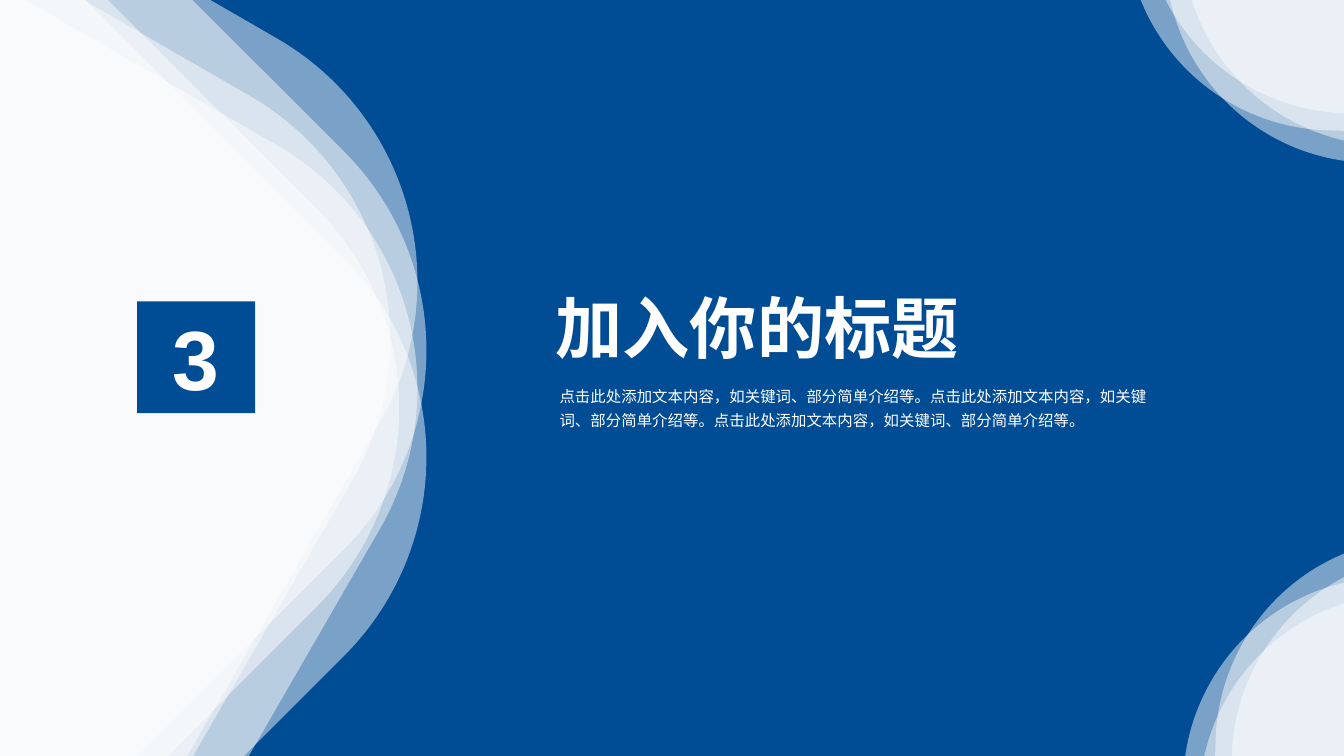
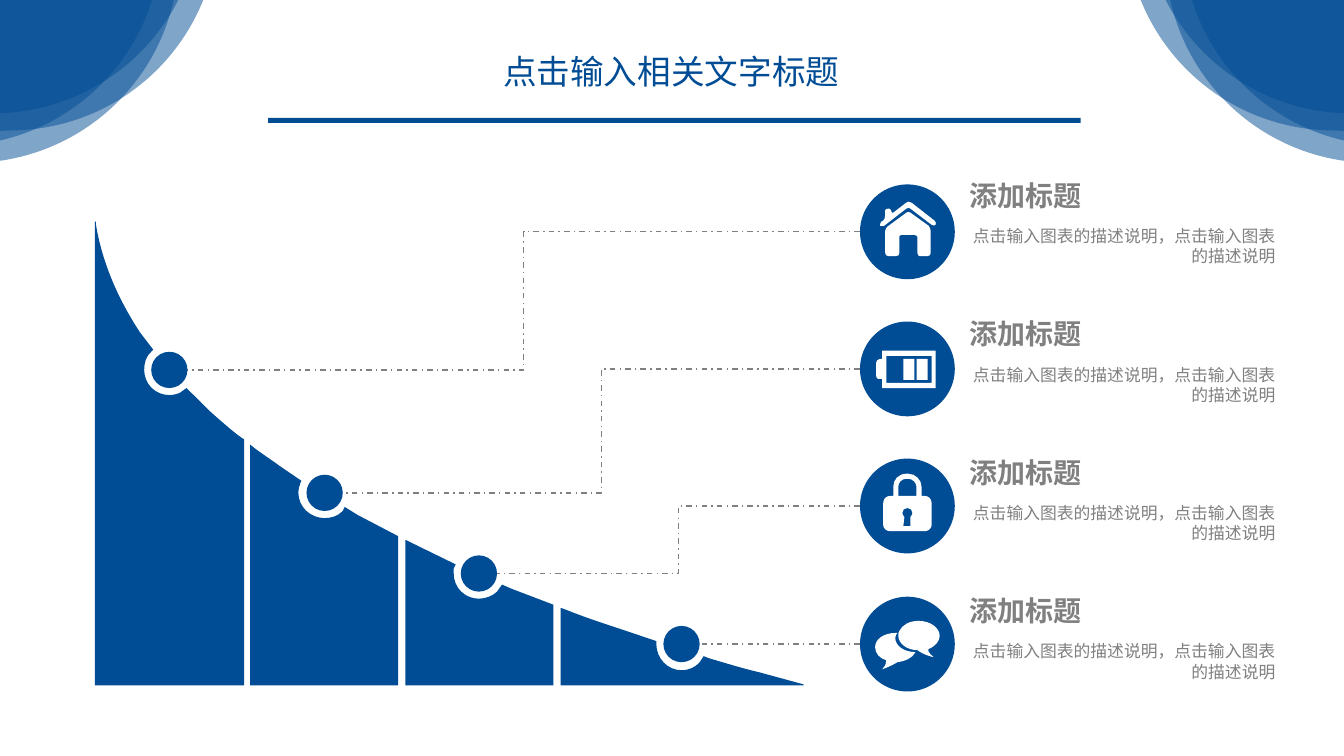
from lxml import etree
from pptx import Presentation
from pptx.dml.color import RGBColor
from pptx.enum.dml import MSO_LINE
from pptx.enum.shapes import MSO_CONNECTOR, MSO_SHAPE
from pptx.enum.text import MSO_ANCHOR, MSO_AUTO_SIZE, PP_ALIGN
from pptx.oxml.ns import qn
from pptx.util import Inches, Pt

COLORS = {"blue": "004C95", "white": "FFFFFF", "gray": "808080"}
FONT = "Arial"
WIDTH, HEIGHT = 13.33, 7.5
CORNER_SIZE = 6.88
TOP_RIGHT = (11.21, -5.54)

# Outlines in inches: M starts a contour, L is a line, C is a cubic curve
HOUSE = [
    "M 8.99 2.11 C 9 2.1 9.02 2.1 9.03 2.11 L 9.21 2.24 C 9.22 2.25 9.23 2.27 9.23 2.29 "
    "L 9.23 2.51 C 9.23 2.53 9.22 2.54 9.2 2.54 L 9.12 2.54 C 9.11 2.54 9.1 2.53 9.1 2.51 "
    "L 9.1 2.35 C 9.1 2.35 9.09 2.33 9.07 2.33 L 8.94 2.33 C 8.92 2.33 8.92 2.35 8.92 2.35 "
    "L 8.92 2.51 C 8.92 2.53 8.91 2.54 8.89 2.54 L 8.81 2.54 C 8.79 2.54 8.78 2.53 8.78 2.51 "
    "L 8.78 2.29 C 8.78 2.28 8.79 2.26 8.8 2.25",
    "M 8.76 2.19 C 8.77 2.18 8.78 2.16 8.78 2.14 L 8.78 2.09 C 8.78 2.08 8.79 2.07 8.81 2.07 "
    "L 8.82 2.07 C 8.82 2.07 8.84 2.08 8.84 2.09 C 8.84 2.11 8.85 2.12 8.86 2.11 L 8.99 2.01 "
    "C 9 2.01 9.01 2 9.01 2 C 9.01 2 9.02 2.01 9.04 2.01 L 9.27 2.19 "
    "C 9.28 2.2 9.29 2.22 9.28 2.23 C 9.27 2.24 9.26 2.24 9.24 2.23 L 9.03 2.07 "
    "C 9.02 2.06 9.01 2.06 8.99 2.07 L 8.77 2.24 C 8.76 2.24 8.74 2.24 8.73 2.24 "
    "C 8.73 2.23 8.73 2.21 8.74 2.2",
]
BATTERY = [
    "M 8.75 3.56 L 8.75 3.48 L 9.28 3.48 L 9.28 3.85 L 8.75 3.85 L 8.75 3.76 "
    "C 8.73 3.76 8.69 3.77 8.69 3.73 L 8.69 3.6 C 8.69 3.56 8.74 3.56 8.75 3.56 "
    "M 8.79 3.8 L 9.24 3.8 L 9.24 3.53 L 8.79 3.53",
]
LOCK = [
    "M 8.83 4.92 L 8.86 4.92 L 8.86 4.83 C 8.86 4.76 8.91 4.7 8.99 4.7 L 9.01 4.7 "
    "C 9.08 4.7 9.14 4.76 9.14 4.83 L 9.14 4.92 L 9.17 4.92 C 9.21 4.92 9.24 4.95 9.24 4.99 "
    "L 9.24 5.21 C 9.24 5.24 9.21 5.27 9.17 5.27 L 8.83 5.27 C 8.79 5.27 8.76 5.24 8.76 5.21 "
    "L 8.76 4.99 C 8.76 4.95 8.79 4.92 8.83 4.92 "
    "M 8.96 5.22 L 9.03 5.22 L 9.03 5.13 C 9.04 5.12 9.05 5.1 9.05 5.09 "
    "C 9.05 5.06 9.03 5.04 9 5.04 C 8.97 5.04 8.95 5.06 8.95 5.09 C 8.95 5.1 8.96 5.12 8.97 5.13 "
    "M 8.91 4.92 L 9.09 4.92 L 9.09 4.83 C 9.09 4.79 9.05 4.75 9.01 4.75 L 8.99 4.75 "
    "C 8.94 4.75 8.91 4.79 8.91 4.83",
]
SPEECH = [
    "M 8.68 6.42 C 8.68 6.34 8.77 6.28 8.88 6.28 C 8.89 6.28 8.89 6.28 8.9 6.28 "
    "C 8.89 6.29 8.88 6.31 8.88 6.33 C 8.88 6.41 8.97 6.47 9.08 6.47 "
    "C 9.05 6.53 8.98 6.56 8.9 6.57 C 8.84 6.61 8.75 6.64 8.75 6.64 "
    "C 8.79 6.6 8.79 6.57 8.79 6.55 C 8.72 6.53 8.68 6.48 8.68 6.42",
    "M 8.92 6.26 C 8.95 6.2 9.02 6.16 9.11 6.16 C 9.23 6.16 9.32 6.23 9.32 6.31 "
    "C 9.32 6.36 9.28 6.41 9.21 6.44 C 9.2 6.45 9.21 6.48 9.26 6.52 "
    "C 9.26 6.52 9.16 6.5 9.1 6.45 C 8.99 6.45 8.91 6.38 8.91 6.31 C 8.91 6.29 8.91 6.27 8.92 6.26",
]
COLUMNS = [
    "M 0.95 2.2 L 0.94 2.2 L 0.94 6.8 L 2.42 6.8 L 2.42 4.36 L 2.35 4.31 "
    "C 2.25 4.23 2.16 4.15 2.07 4.07 L 1.85 3.85 L 1.78 3.9 C 1.75 3.91 1.72 3.92 1.68 3.92 "
    "C 1.54 3.92 1.43 3.81 1.43 3.67 C 1.43 3.6 1.45 3.53 1.5 3.49 L 1.52 3.47 L 1.39 3.3 "
    "C 1.16 2.95 1.01 2.59 0.95 2.22",
    "M 2.48 4.41 L 2.48 6.8 L 3.95 6.8 L 3.95 5.32 L 3.55 5.11 L 3.42 5.03 L 3.4 5.07 "
    "C 3.35 5.12 3.29 5.14 3.22 5.14 C 3.08 5.14 2.96 5.03 2.96 4.89 "
    "C 2.96 4.85 2.97 4.82 2.98 4.79 L 2.99 4.77 L 2.77 4.62 C 2.69 4.56 2.61 4.51 2.53 4.45",
    "M 4.02 5.36 L 4.02 6.8 L 5.49 6.8 L 5.49 6 L 5.07 5.84 L 4.98 5.8 L 4.93 5.87 "
    "C 4.89 5.91 4.82 5.94 4.75 5.94 C 4.61 5.94 4.5 5.83 4.5 5.69 "
    "C 4.5 5.67 4.5 5.65 4.5 5.64 L 4.52 5.6 L 4.03 5.36",
    "M 5.56 6.03 L 5.56 6.8 L 7.97 6.8 L 7.97 6.79 L 7.53 6.67 "
    "C 7.36 6.63 7.2 6.58 7.03 6.53 L 6.98 6.51 L 6.94 6.57 C 6.9 6.62 6.83 6.65 6.76 6.65 "
    "C 6.62 6.65 6.51 6.53 6.51 6.39 L 6.51 6.36 L 6.09 6.22 C 5.94 6.17 5.79 6.12 5.64 6.06",
]

# Each step: icon outlines, icon centre height, centre of its dot on the slope
STEPS = [
    (HOUSE, 2.3, (1.68, 3.67)),
    (BATTERY, 3.66, (3.22, 4.89)),
    (LOCK, 5.02, (4.75, 5.69)),
    (SPEECH, 6.39, (6.76, 6.39)),
]
FIRST_LABEL, LAST_LABEL = 1.73, 5.85


def color(name):
    return RGBColor.from_string(COLORS[name])


def paint(shape, fill):
    shape.shadow.inherit = False
    shape.fill.solid()
    shape.fill.fore_color.rgb = color(fill)
    shape.line.fill.background()


def add_filled(slide, kind, left, top, width, height, fill):
    shape = slide.shapes.add_shape(kind, Inches(left), Inches(top), Inches(width), Inches(height))
    paint(shape, fill)
    return shape


def add_circle(slide, center_x, center_y, size, fill):
    return add_filled(slide, MSO_SHAPE.OVAL, center_x - size / 2, center_y - size / 2, size, size, fill)


def add_blob(slide, left, top, size, rotation, fill, opacity):
    blob = add_filled(slide, MSO_SHAPE.ROUNDED_RECTANGLE, left, top, size, size, fill)
    blob.adjustments[0] = 0.3
    blob.rotation = rotation
    srgb = blob.fill._xPr.find(qn("a:solidFill"))[0]
    etree.SubElement(srgb, qn("a:alpha"), val=str(opacity * 1000))


def add_corner(slide, position, shift, rotations, fill, opacity):
    """Two pairs of translucent blobs, the second pair shifted."""
    left, top = position
    for step in range(2):
        for rotation in rotations:
            add_blob(slide, left + step * shift[0], top + step * shift[1],
                     CORNER_SIZE, rotation, fill, opacity)


def add_top_right_corner(slide, fill, opacity):
    add_corner(slide, TOP_RIGHT, (0.17, -0.17), (346.9, 1.9), fill, opacity)


def read_outline(outline):
    """List the commands of an outline, each with its points."""
    tokens = iter(outline.split())
    return [
        (command, [(Inches(float(next(tokens))), Inches(float(next(tokens))))
                   for _ in range(3 if command == "C" else 1)])
        for command in tokens
    ]


def bend_curves(shape, commands):
    """Join the three line points of each C command into a cubic curve."""
    outline = next(shape._element.iter(qn("a:path")))
    nodes = iter([node for node in outline if node.tag != qn("a:close")])
    for command, points in commands:
        parts = [next(nodes) for _ in points]
        if command == "C":
            curve = etree.Element(qn("a:cubicBezTo"))
            parts[0].addprevious(curve)
            for part in parts:
                curve.append(part[0])
                outline.remove(part)


def add_outline(slide, outline, fill):
    commands = read_outline(outline)
    contours = []
    for command, points in commands:
        if command == "M":
            contours.append([])
        contours[-1].extend(points)
    builder = slide.shapes.build_freeform(*contours[0][0])
    for index, (start, *rest) in enumerate(contours):
        if index:
            builder.move_to(*start)
        builder.add_line_segments(rest, close=True)
    shape = builder.convert_to_shape()
    bend_curves(shape, commands)
    paint(shape, fill)


def add_dashed_link(slide, kind, start, end):
    link = slide.shapes.add_connector(kind, *(Inches(value) for value in (*start, *end)))
    link.line.color.rgb = color("gray")
    link.line.width = Pt(1)
    link.line.dash_style = MSO_LINE.DASH_DOT
    etree.SubElement(link._element.spPr, qn("a:effectLst"))


def write(shape, text, size, fill, align=PP_ALIGN.LEFT, bold=False, wrap=True, anchor=MSO_ANCHOR.TOP):
    frame = shape.text_frame
    frame.text = text
    frame.word_wrap = wrap
    frame.auto_size = MSO_AUTO_SIZE.NONE
    frame.vertical_anchor = anchor
    paragraph = frame.paragraphs[0]
    if shape.is_placeholder:
        remove_bullet(paragraph)
    paragraph.alignment = align
    font = paragraph.font
    font.name, font.size, font.bold = FONT, Pt(size), bold
    font.color.rgb = color(fill)
    return paragraph


def remove_bullet(paragraph):
    properties = paragraph._p.get_or_add_pPr()
    properties.set("marL", "0")
    properties.set("indent", "0")
    etree.SubElement(properties, qn("a:buNone"))


def place(shape, left, top, width, height):
    shape.left, shape.top = Inches(left), Inches(top)
    shape.width, shape.height = Inches(width), Inches(height)


def add_gray_text(slide, text, left, top, width, height, size, **style):
    box = slide.shapes.add_textbox(Inches(left), Inches(top), Inches(width), Inches(height))
    frame = box.text_frame
    frame.margin_left = frame.margin_right = Inches(0.07)
    frame.margin_top = frame.margin_bottom = Inches(0.04)
    write(box, text, size, "gray", PP_ALIGN.RIGHT, **style)


def build_section(presentation):
    slide = presentation.slides.add_slide(presentation.slide_layouts[1])

    # Blue backdrop behind the placeholders
    backdrop = add_filled(slide, MSO_SHAPE.RECTANGLE, 0, 0, WIDTH, HEIGHT, "blue")
    slide.shapes.title._element.addprevious(backdrop._element)

    # Overlapping white blobs
    for left, top in ((-5.83, -1.17), (-6.1, -0.6), (-5.83, -0.11)):
        for rotation in (30, 45):
            add_blob(slide, left, top, 9.29, rotation, "white", 48)
    add_corner(slide, (12.01, 5.38), (0.16, 0.16), (76.9, 91.9), "white", 48)
    add_top_right_corner(slide, "white", 48)

    # Section number
    number = add_filled(slide, MSO_SHAPE.RECTANGLE, 1.36, 2.99, 1.17, 1.11, "blue")
    write(number, "3", 60, "white", PP_ALIGN.CENTER, bold=True, anchor=MSO_ANCHOR.MIDDLE)

    # Title and introduction
    title, body = slide.shapes.title, slide.placeholders[1]
    place(title, 5.41, 2.79, 4.24, 0.91)
    write(title, "加入你的标题", 48, "white", bold=True, wrap=False)
    place(body, 5.45, 3.74, 6.1, 0.56)
    paragraph = write(body, "点击此处添加文本内容，如关键词、部分简单介绍等。" * 3, 11, "white")
    paragraph.line_spacing = 1.3
    paragraph.space_before = Pt(0)


def build_slope(presentation):
    slide = presentation.slides.add_slide(presentation.slide_layouts[5])
    add_top_right_corner(slide, "blue", 50)
    mirrored_left = WIDTH - TOP_RIGHT[0] - CORNER_SIZE
    add_corner(slide, (mirrored_left, TOP_RIGHT[1]), (-0.17, -0.17), (13.1, 358.1), "blue", 50)

    # Title with rule
    place(slide.shapes.title, 4.89, 0.45, 3.58, 0.5)
    write(slide.shapes.title, "点击输入相关文字标题", 24, "blue", wrap=False)
    add_filled(slide, MSO_SHAPE.RECTANGLE, 2.66, 1.17, 8.06, 0.05, "blue")

    # Falling slope
    for column in COLUMNS:
        add_outline(slide, column, "blue")

    # Dots, links, icons and descriptions
    label_pitch = (LAST_LABEL - FIRST_LABEL) / (len(STEPS) - 1)
    for index, (icon, center_y, (dot_x, dot_y)) in enumerate(STEPS):
        kind = MSO_CONNECTOR.STRAIGHT if center_y == dot_y else MSO_CONNECTOR.ELBOW
        add_dashed_link(slide, kind, (8.53, center_y), (dot_x + 0.18, dot_y))
        add_circle(slide, dot_x, dot_y, 0.36, "blue")
        add_circle(slide, 9, center_y, 0.94, "blue")
        for outline in icon:
            add_outline(slide, outline, "white")
        label_top = FIRST_LABEL + label_pitch * index
        add_gray_text(slide, "添加标题", 9.53, label_top, 1.27, 0.41, 20, bold=True, wrap=False)
        add_gray_text(slide, "点击输入图表的描述说明，点击输入图表的描述说明",
                      9.53, label_top + 0.47, 3.19, 0.48, 12)

    # Battery charge bars
    for left in (8.96, 9.09):
        add_filled(slide, MSO_SHAPE.RECTANGLE, left, 3.56, 0.11, 0.21, "white")


def main():
    presentation = Presentation()
    presentation.slide_width, presentation.slide_height = Inches(WIDTH), Inches(HEIGHT)
    build_section(presentation)
    build_slope(presentation)
    presentation.save("out.pptx")


if __name__ == "__main__":
    main()
